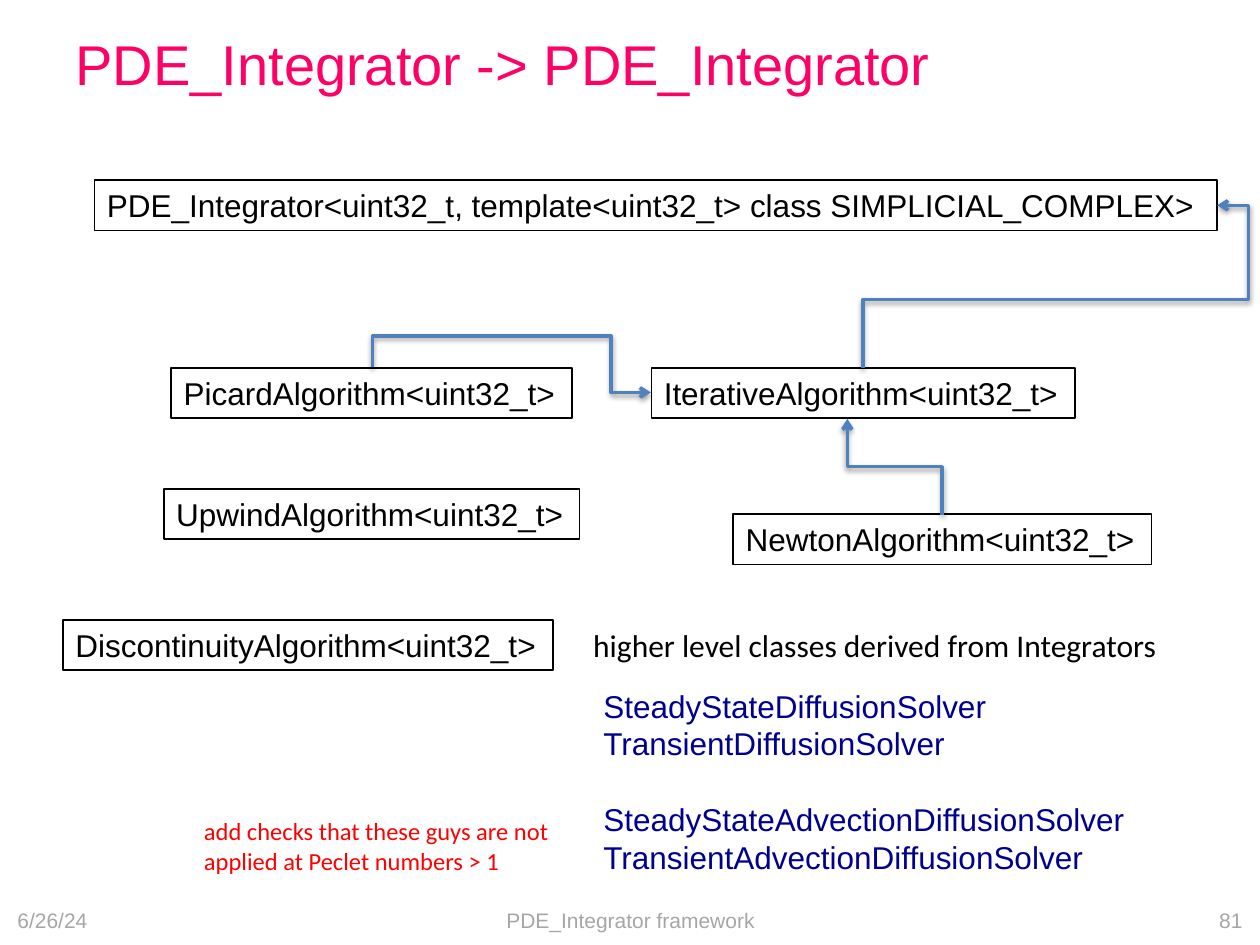
"""Builds the PDE_Integrator class diagram slide."""
import lxml.etree
import pptx
import pptx.dml.color
import pptx.enum.shapes
import pptx.enum.text
import pptx.oxml
import pptx.oxml.ns
import pptx.util

Inches = pptx.util.Inches
Pt = pptx.util.Pt
ALIGN = pptx.enum.text.PP_ALIGN
ANCHOR = pptx.enum.text.MSO_ANCHOR
qn = pptx.oxml.ns.qn


def color(value):
    """Return the colour for a hex string."""
    return pptx.dml.color.RGBColor.from_string(value)


def write(box, lines, size, font, ink, align=ALIGN.LEFT, anchor=ANCHOR.TOP, wrap=True):
    """Write one paragraph per line into a box."""
    frame = box.text_frame
    frame.word_wrap = wrap
    frame.vertical_anchor = anchor
    for index, line in enumerate(lines):
        para = frame.add_paragraph() if index else frame.paragraphs[0]
        para.alignment = align
        span = para.add_run()
        span.text = line
        span.font.size = Pt(size)
        span.font.name = font
        span.font.color.rgb = color(ink)
    return frame


deck = pptx.Presentation()
deck.slide_width, deck.slide_height = Inches(10), Inches(7.5)
page = deck.slides.add_slide(deck.slide_layouts[5])
shapes = page.shapes

title = shapes.title
title.left, title.top, title.width, title.height = Inches(0.5), Inches(0), Inches(9), Inches(1)
write(title, ["PDE_Integrator -> PDE_Integrator"], 32, "Arial", "FF0066", anchor=ANCHOR.MIDDLE)

footers = [
    ("6/26/24", 0.04, 2.33, ALIGN.LEFT),
    ("PDE_Integrator framework", 3.42, 3.17, ALIGN.CENTER),
    ("81", 7.63, 2.33, ALIGN.RIGHT),
]
for text, left, width, align in footers:
    box = shapes.add_textbox(Inches(left), Inches(7.1), Inches(width), Inches(0.4))
    write(box, [text], 12, "Arial", "A6A6A6", align, ANCHOR.MIDDLE)

classes = [
    ("PicardAlgorithm<uint32_t>", 1.36, 2.92, 3.18),
    ("PDE_Integrator<uint32_t, template<uint32_t> class SIMPLICIAL_COMPLEX>", 0.75, 1.43, 8.91),
    ("UpwindAlgorithm<uint32_t>", 1.3, 3.88, 3.3),
    ("NewtonAlgorithm<uint32_t>", 5.82, 4.08, 3.32),
    ("IterativeAlgorithm<uint32_t>", 5.17, 2.92, 3.36),
    ("DiscontinuityAlgorithm<uint32_t>", 0.5, 4.92, 3.89),
]
for name, left, top, width in classes:
    box = shapes.add_textbox(Inches(left), Inches(top), Inches(width), Inches(0.4))
    box.line.color.rgb = color("000000")
    box.line.width = Pt(1)
    frame = write(box, [name], 18, "Arial", "000000", wrap=False)
    frame.auto_size = pptx.enum.text.MSO_AUTO_SIZE.SHAPE_TO_FIT_TEXT

arrows = [
    ((8.9, 3.68), (7.61, 0.87), 90, "bentConnector4", (42100, 108900)),
    ((6.72, 4.08), (7.48, 3.33), 270, "bentConnector3", (50000,)),
    ((4.16, 1.91), (3.96, 4.12), 270, "bentConnector4", (-123800, 85800)),
]
for start, end, turn, preset, bends in arrows:
    arrow = shapes.add_connector(
        pptx.enum.shapes.MSO_CONNECTOR.ELBOW, *[Inches(value) for value in start + end]
    )
    arrow.line.color.rgb = color("4F81BD")
    arrow.line.width = Pt(2)
    properties = arrow.line._get_or_add_ln().getparent()
    properties.find(qn("a:xfrm")).set("rot", str(turn * 60000))
    geometry = properties.find(qn("a:prstGeom"))
    geometry.set("prst", preset)
    guides = geometry.find(qn("a:avLst"))
    for number, bend in enumerate(bends, 1):
        lxml.etree.SubElement(guides, qn("a:gd"), name=f"adj{number}", fmla=f"val {bend}")
    lxml.etree.SubElement(properties.find(qn("a:ln")), qn("a:tailEnd"), type="arrow")
    effects = lxml.etree.SubElement(properties, qn("a:effectLst"))
    shadow = lxml.etree.SubElement(
        effects, qn("a:outerShdw"), blurRad="40000", dist="20000", dir="5400000", rotWithShape="0"
    )
    shade = lxml.etree.SubElement(shadow, qn("a:srgbClr"), val="000000")
    lxml.etree.SubElement(shade, qn("a:alpha"), val="38000")

solvers = [
    "SteadyStateDiffusionSolver",
    "TransientDiffusionSolver",
    "SteadyStateAdvectionDiffusionSolver",
    "TransientAdvectionDiffusionSolver",
]
box = shapes.add_textbox(Inches(4.69), Inches(5.4), Inches(4.81), Inches(1.62))
frame = write(box, solvers, 18, "Arial", "000090")
frame.paragraphs[2].space_before = Pt(21.5)

box = shapes.add_textbox(Inches(4.61), Inches(4.92), Inches(4.75), Inches(0.4))
write(box, ["higher level classes derived from Integrators"], 18, "Calibri", "000000", wrap=False)

box = shapes.add_textbox(Inches(1.52), Inches(6.43), Inches(3.15), Inches(0.57))
warning = "add checks that these guys are not applied at Peclet numbers > 1"
write(box, [warning], 14, "Calibri", "FF0000")

deck.save("out.pptx")
